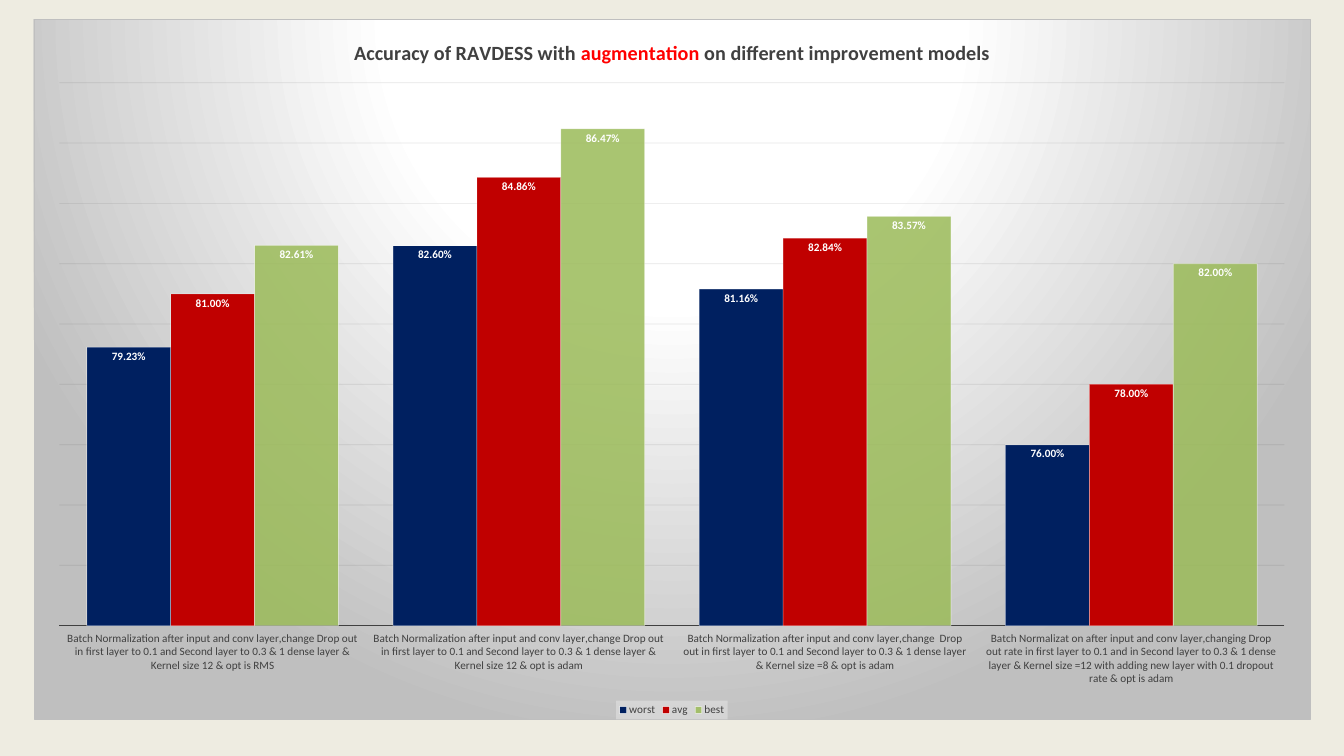
"""Build a slide that compares model accuracy in a clustered column chart."""
from dataclasses import dataclass

from pptx import Presentation
from pptx.chart.data import CategoryChartData
from pptx.dml.color import RGBColor
from pptx.enum.chart import XL_CHART_TYPE as ChartType
from pptx.enum.chart import XL_LABEL_POSITION as LabelPosition
from pptx.enum.chart import XL_LEGEND_POSITION as LegendPosition
from pptx.enum.chart import XL_TICK_LABEL_POSITION as TickLabels
from pptx.enum.chart import XL_TICK_MARK as TickMark
from pptx.oxml import parse_xml
from pptx.oxml.ns import nsdecls, qn
from pptx.util import Inches, Pt


@dataclass(frozen=True)
class Theme:
    """Hold the colours and type sizes of the slide."""
    font: str = "Calibri"
    background: str = "EEECE1"
    text: str = "404040"
    accent: str = "FF0000"
    white: str = "FFFFFF"
    grid: str = "0D0D0D"
    border: str = "BFBFBF"
    legend: str = "F2F2F2"
    title_size: float = 21.6
    text_size: float = 12


THEME = Theme()
PERCENT = "0.00%"
DROPOUT = "Drop out in first layer to 0.1 and Second layer to 0.3 & 1 dense layer"
LAYERS = "after input and conv layer"
MODELS = [
    f"Batch Normalization {LAYERS},change {DROPOUT} & Kernel size 12 & opt is RMS",
    f"Batch Normalization {LAYERS},change {DROPOUT} & Kernel size 12 & opt is adam",
    f"Batch Normalization {LAYERS},change  {DROPOUT} & Kernel size =8 & opt is adam",
    f"Batch Normalizat on {LAYERS},changing Drop out rate in first layer to 0.1 "
    "and in Second layer to 0.3 & 1 dense layer & Kernel size =12 with adding "
    "new layer with 0.1 dropout rate & opt is adam",
]
ACCURACY = {
    "worst": ("002060", (0.7923, 0.826, 0.8116, 0.76)),
    "avg": ("C00000", (0.81, 0.8486, 0.8284, 0.78)),
    "best": ("9BBB59", (0.8261, 0.8647, 0.8357, 0.82)),
}
TITLE = [
    ("Accuracy of RAVDESS with ", THEME.text),
    ("augmentation", THEME.accent),
    (" on different improvement models", THEME.text),
]


def style_font(font, color, size=THEME.text_size, bold=False):
    """Apply the theme typeface with a colour, size and weight."""
    font.name, font.size, font.bold = THEME.font, Pt(size), bold
    font.color.rgb = RGBColor.from_string(color)


def style_line(line, color, width=0.75):
    """Apply a solid colour and width to a line."""
    line.color.rgb = RGBColor.from_string(color)
    line.width = Pt(width)


def set_alpha(chart, query, percent):
    """Make the colours found by the query partly transparent."""
    for color in chart.element.xpath(query):
        color.append(parse_xml(f'<a:alpha {nsdecls("a")} val="{percent * 1000}"/>'))


def add_accuracy_chart(slide):
    """Add the column chart and return it."""
    accuracy = CategoryChartData(number_format=PERCENT)
    accuracy.categories = MODELS
    for name, (_, values) in ACCURACY.items():
        accuracy.add_series(name, values)
    chart = slide.shapes.add_chart(
        ChartType.COLUMN_CLUSTERED, Inches(0.5), Inches(0.29),
        Inches(19), Inches(10.42), accuracy).chart
    chart.font.name, chart.font.size = THEME.font, Pt(10)
    return chart


def style_title(chart):
    """Write the chart title run by run."""
    chart.has_title = True
    chart.chart_title.include_in_layout = False
    paragraph = chart.chart_title.text_frame.paragraphs[0]
    for text, color in TITLE:
        run = paragraph.add_run()
        run.text = text
        style_font(run.font, color, THEME.title_size, bold=True)


def style_series(chart):
    """Colour the columns and label them inside their ends."""
    plot = chart.plots[0]
    plot.gap_width, plot.overlap, plot.vary_by_categories = 65, 0, False
    for series in plot.series:
        fill = series.format.fill
        fill.solid()
        fill.fore_color.rgb = RGBColor.from_string(ACCURACY[series.name][0])
        style_line(series.format.line, THEME.white)
        labels = series.data_labels
        labels.show_value = True
        labels.position = LabelPosition.INSIDE_END
        labels.number_format, labels.number_format_is_linked = PERCENT, False
        style_font(labels.font, THEME.white, bold=True)
    set_alpha(chart, "//c:ser/c:spPr/a:ln//a:srgbClr", 50)
    set_alpha(chart, "//c:ser[last()]/c:spPr/a:solidFill/a:srgbClr", 85)


def style_axes(chart):
    """Format the category axis and hide the value axis behind its grid."""
    models, scale = chart.category_axis, chart.value_axis
    models.major_tick_mark = models.minor_tick_mark = TickMark.NONE
    models.tick_label_position = TickLabels.LOW
    style_font(models.tick_labels.font, THEME.text)
    style_line(models.format.line, THEME.text, 1.5)
    scale.minimum_scale, scale.maximum_scale, scale.major_unit = 0.7, 0.88, 0.02
    scale.tick_labels.number_format = PERCENT
    scale.tick_labels.number_format_is_linked = False
    scale.has_major_gridlines = True
    style_line(scale.major_gridlines.format.line, THEME.grid)
    scale.visible = False
    set_alpha(chart, "//c:majorGridlines//a:srgbClr", 10)


def style_legend(chart):
    """Place the legend at the bottom on a translucent panel."""
    chart.has_legend = True
    legend = chart.legend
    legend.position, legend.include_in_layout = LegendPosition.BOTTOM, False
    style_font(legend.font, THEME.text)
    chart.element.xpath("//c:legend/c:txPr")[0].addprevious(parse_xml(
        f'<c:spPr {nsdecls("c", "a")}><a:solidFill><a:srgbClr val="{THEME.legend}"/>'
        '</a:solidFill></c:spPr>'))
    set_alpha(chart, "//c:legend/c:spPr//a:srgbClr", 39)


def style_chart_area(chart):
    """Give the chart a radial gradient and a thin border."""
    stops = "".join(
        f'<a:gs pos="{position * 1000}"><a:srgbClr val="{color}"/></a:gs>'
        for position, color in [(0, THEME.white), (39, THEME.white), (100, THEME.border)])
    chart.element.find(qn("c:chart")).addnext(parse_xml(
        f'<c:spPr {nsdecls("c", "a")}><a:gradFill><a:gsLst>{stops}</a:gsLst>'
        '<a:path path="circle"><a:fillToRect l="50000" t="-80000" r="50000" b="180000"/>'
        f'</a:path></a:gradFill><a:ln w="{Pt(0.75)}"><a:solidFill>'
        f'<a:srgbClr val="{THEME.border}"/></a:solidFill></a:ln></c:spPr>'))


def place_plot(chart):
    """Fix the inner plot area as fractions of the chart."""
    for layout in chart.element.xpath("//c:plotArea/c:layout"):
        layout.getparent().remove(layout)
    bounds = "".join(
        f'<c:{side} val="{share}"/>'
        for side, share in [("x", 0.02), ("y", 0.09), ("w", 0.96), ("h", 0.776)])
    chart.element.xpath("//c:plotArea")[0].insert(0, parse_xml(
        f'<c:layout {nsdecls("c")}><c:manualLayout><c:layoutTarget val="inner"/>'
        f'<c:xMode val="edge"/><c:yMode val="edge"/>{bounds}</c:manualLayout></c:layout>'))


def main():
    """Build and save the slide."""
    deck = Presentation()
    deck.slide_width, deck.slide_height = Inches(20), Inches(11.25)
    slide = deck.slides.add_slide(deck.slide_layouts[6])
    slide.background.fill.solid()
    slide.background.fill.fore_color.rgb = RGBColor.from_string(THEME.background)
    chart = add_accuracy_chart(slide)
    for style in (style_title, style_series, style_axes, style_legend,
                  style_chart_area, place_plot):
        style(chart)
    deck.save("out.pptx")


if __name__ == "__main__":
    main()
